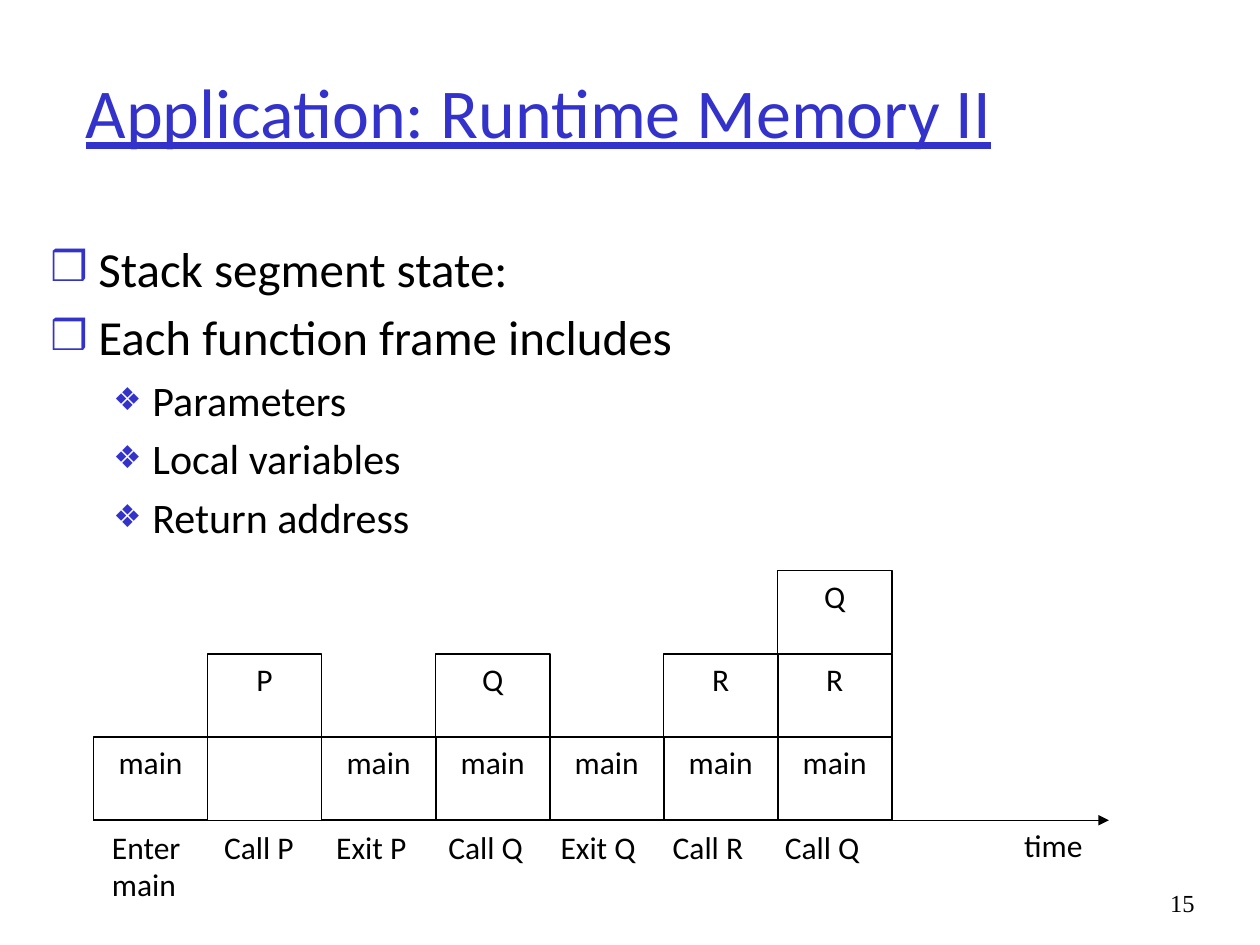
from lxml.etree import SubElement
from pptx import Presentation
from pptx.dml.color import RGBColor
from pptx.enum.shapes import MSO_CONNECTOR, MSO_SHAPE
from pptx.enum.text import MSO_ANCHOR, MSO_AUTO_SIZE, PP_ALIGN
from pptx.oxml.ns import qn
from pptx.util import Inches, Pt

BLUE = RGBColor(0x33, 0x33, 0xCC)
BLACK = RGBColor(0, 0, 0)

TITLE = "Application: Runtime Memory II"
POINTS = [
    (0, "Stack segment state:"),
    (0, "Each function frame includes"),
    (1, "Parameters"),
    (1, "Local variables"),
    (1, "Return address"),
]
LEVELS = [
    {"size": 28, "bullet": "❒", "scale": 85, "margin": 0.38, "indent": -0.38},
    {"size": 24, "bullet": "❖", "scale": 75, "margin": 0.81, "indent": -0.31},
]
# Each event with the frames on the stack after it, bottom first
EVENTS = [
    ("Enter main", ["main"]),
    ("Call P", [None, "P"]),
    ("Exit P", ["main"]),
    ("Call Q", ["main", "Q"]),
    ("Exit Q", ["main"]),
    ("Call R", ["main", "R"]),
    ("Call Q", ["main", "R", "Q"]),
]
PAGE = "15"

AXIS_LEFT, AXIS_RIGHT, AXIS_Y = 0.74, 8.8, 6.51
COLUMN_STEP, FRAME_WIDTH, FRAME_HEIGHT = 0.905, 0.91, 0.66
LABEL_LEFT, LABEL_STEP, LABEL_WIDTH, LABEL_HEIGHT = 0.79, 0.89, 0.85, 0.6


def set_font(font, **values):
    values = {"name": "Calibri", "size": Pt(18), **values}
    font.color.rgb = values.pop("color", BLACK)
    for attribute, value in values.items():
        setattr(font, attribute, value)


def write(shape, text, align=PP_ALIGN.LEFT, anchor=MSO_ANCHOR.TOP, **font):
    frame = shape.text_frame
    frame.auto_size = MSO_AUTO_SIZE.NONE
    frame.word_wrap = True
    frame.vertical_anchor = anchor
    frame.text = text
    paragraph = frame.paragraphs[0]
    paragraph.alignment = align
    set_font(paragraph.runs[0].font, **font)


def add_label(slide, text, box, **style):
    write(slide.shapes.add_textbox(*map(Inches, box)), text, **style)


def place(shape, left, top, width, height):
    shape.left, shape.top = Inches(left), Inches(top)
    shape.width, shape.height = Inches(width), Inches(height)


def add_bullet(paragraph, level):
    properties = paragraph._p.get_or_add_pPr()
    properties.set("marL", str(Inches(level["margin"])))
    properties.set("indent", str(Inches(level["indent"])))
    color = SubElement(properties, qn("a:buClr"))
    SubElement(color, qn("a:srgbClr"), val=str(BLUE))
    SubElement(properties, qn("a:buSzPct"), val=str(level["scale"] * 1000))
    SubElement(properties, qn("a:buChar"), char=level["bullet"])


def fill_body(body):
    place(body, 0.3, 1.84, 8.5, 5.08)
    frame = body.text_frame
    frame.auto_size = MSO_AUTO_SIZE.NONE
    for i, (depth, text) in enumerate(POINTS):
        level = LEVELS[depth]
        paragraph = frame.add_paragraph() if i else frame.paragraphs[0]
        paragraph.level = depth
        add_bullet(paragraph, level)
        paragraph.space_before = Pt(level["size"] * 0.2 if i else 0)
        run = paragraph.add_run()
        run.text = text
        set_font(run.font, size=Pt(level["size"]))


def add_time_axis(slide):
    axis = slide.shapes.add_connector(
        MSO_CONNECTOR.STRAIGHT,
        *map(Inches, (AXIS_LEFT, AXIS_Y, AXIS_RIGHT, AXIS_Y)))
    axis.line.color.rgb = BLACK
    axis.line.width = Pt(0.75)
    SubElement(axis.line._get_or_add_ln(), qn("a:tailEnd"), type="triangle")
    SubElement(axis._element.spPr, qn("a:effectLst"))
    add_label(slide, "time", (8.03, AXIS_Y, 0.69, 0.41))


def add_frame(slide, name, column, row):
    box = slide.shapes.add_shape(
        MSO_SHAPE.RECTANGLE,
        Inches(AXIS_LEFT + column * COLUMN_STEP),
        Inches(AXIS_Y - (row + 1) * FRAME_HEIGHT),
        Inches(FRAME_WIDTH), Inches(FRAME_HEIGHT))
    box.shadow.inherit = False
    box.fill.background()
    box.line.color.rgb = BLACK
    box.line.width = Pt(0.75)
    write(box, name, align=PP_ALIGN.CENTER)


def main():
    deck = Presentation()
    deck.slide_width, deck.slide_height = Inches(10), Inches(7.5)
    slide = deck.slides.add_slide(deck.slide_layouts[1])

    title = slide.shapes.title
    place(title, 0.58, 0.25, 8.5, 1.25)
    write(title, TITLE, anchor=MSO_ANCHOR.MIDDLE,
          size=Pt(40), color=BLUE, underline=True)
    fill_body(slide.placeholders[1])

    add_time_axis(slide)
    for column, (event, stack) in enumerate(EVENTS):
        for row, name in enumerate(stack):
            if name:
                add_frame(slide, name, column, row)
        add_label(slide, event, (LABEL_LEFT + column * LABEL_STEP, AXIS_Y + 0.01,
                                 LABEL_WIDTH, LABEL_HEIGHT))
    add_label(slide, PAGE, (9.08, 7, 0.5, 0.5), align=PP_ALIGN.RIGHT,
              name="Times New Roman", size=Pt(14))
    deck.save("out.pptx")


if __name__ == "__main__":
    main()
